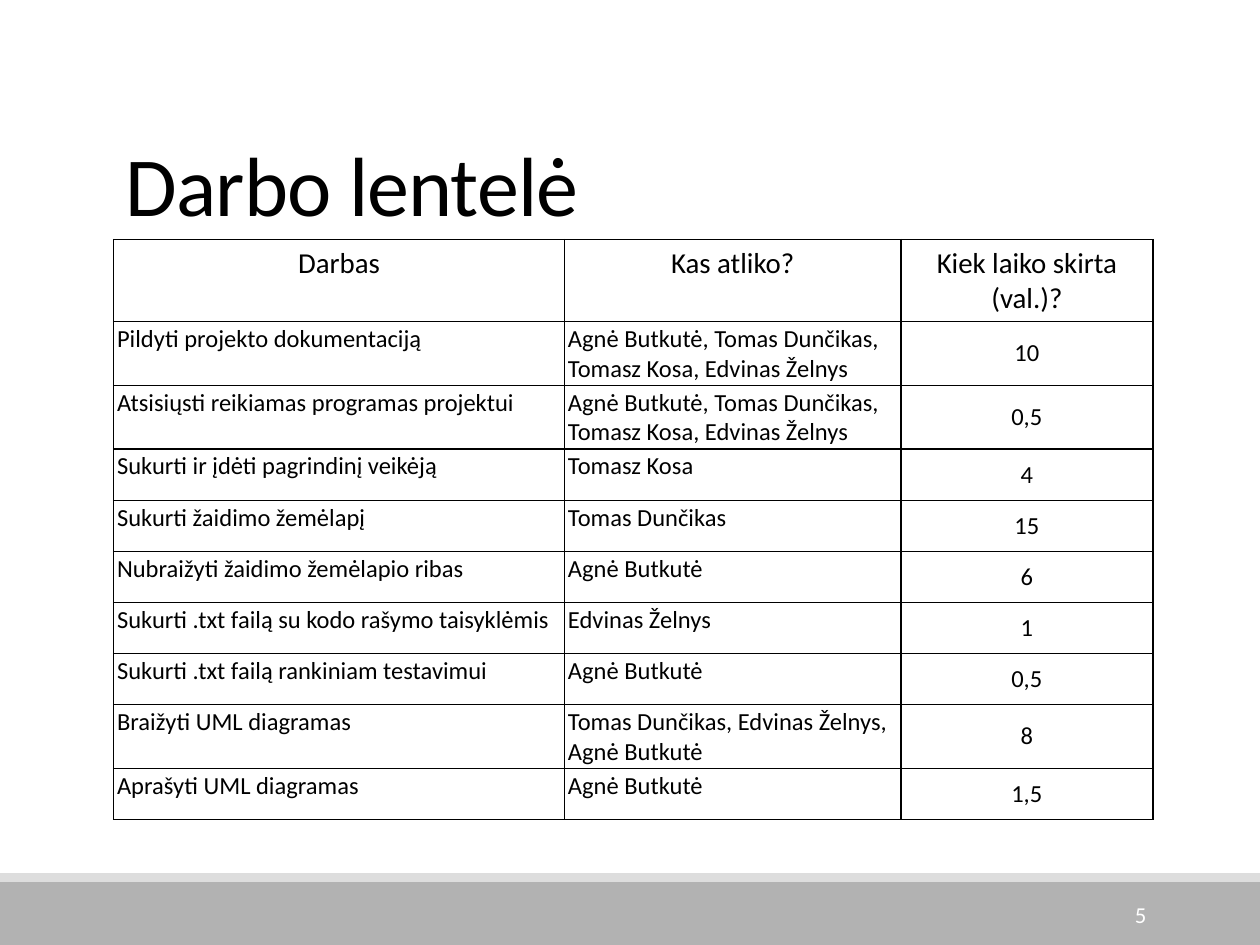
"""Build a slide with a table of project tasks, people and hours."""
from dataclasses import dataclass

from lxml import etree
from pptx import Presentation
from pptx import util as u
from pptx.dml.color import RGBColor
from pptx.enum import shapes, text
from pptx.oxml.ns import qn


@dataclass(frozen=True)
class Theme:
    font: str = "Calibri"
    ink: str = "000000"
    paper: str = "FFFFFF"
    band: str = "B2B2B2"
    strip: str = "DDDDDD"
    rule: str = "808080"
    title: float = 48
    head: float = 16.5
    body: float = 14
    page: float = 13


LEFT, MID, RIGHT = text.PP_ALIGN.LEFT, text.PP_ALIGN.CENTER, text.PP_ALIGN.RIGHT
TOP, CENTRE, BASE = text.MSO_ANCHOR.TOP, text.MSO_ANCHOR.MIDDLE, text.MSO_ANCHOR.BOTTOM

TEAM = "Agnė Butkutė, Tomas Dunčikas, Tomasz Kosa, Edvinas Želnys"
HEADS = ("Darbas", "Kas atliko?", "Kiek laiko skirta (val.)?")
TASKS = (
    ("Pildyti projekto dokumentaciją", TEAM, "10"),
    ("Atsisiųsti reikiamas programas projektui", TEAM, "0,5"),
    ("Sukurti ir įdėti pagrindinį veikėją", "Tomasz Kosa", "4"),
    ("Sukurti žaidimo žemėlapį", "Tomas Dunčikas", "15"),
    ("Nubraižyti žaidimo žemėlapio ribas", "Agnė Butkutė", "6"),
    ("Sukurti .txt failą su kodo rašymo taisyklėmis", "Edvinas Želnys", "1"),
    ("Sukurti .txt failą rankiniam testavimui", "Agnė Butkutė", "0,5"),
    ("Braižyti UML diagramas", "Tomas Dunčikas, Edvinas Želnys, Agnė Butkutė", "8"),
    ("Aprašyti UML diagramas", "Agnė Butkutė", "1,5"),
)


class Painter:
    def __init__(self, slide, theme):
        self.slide, self.theme = slide, theme

    def style(self, para, size, color, align):
        para.alignment = align
        for run in para.runs:
            run.font.name = self.theme.font
            run.font.size = u.Pt(size)
            run.font.color.rgb = RGBColor.from_string(color)

    def bar(self, box, color):
        bar = self.slide.shapes.add_shape(shapes.MSO_SHAPE.RECTANGLE, *map(u.Cm, box))
        bar.shadow.inherit = False
        bar.fill.solid()
        bar.fill.fore_color.rgb = RGBColor.from_string(color)
        bar.line.fill.background()

    def line(self, ends, color, width):
        line = self.slide.shapes.add_connector(
            shapes.MSO_CONNECTOR.STRAIGHT, *map(u.Cm, ends))
        line.line.color.rgb = RGBColor.from_string(color)
        line.line.width = u.Pt(width)
        etree.SubElement(line._element.spPr, qn("a:effectLst"))

    def label(self, words, box, size, color, align, anchor):
        frame = self.slide.shapes.add_textbox(*map(u.Cm, box)).text_frame
        frame.word_wrap = True
        frame.vertical_anchor = anchor
        frame.text = words
        para = frame.paragraphs[0]
        self.style(para, size, color, align)
        return para

    def title(self, words, box):
        para = self.label(words, box, self.theme.title, self.theme.ink, LEFT, BASE)
        para.line_spacing = 0.85
        para.runs[0].font._element.set("spc", "-50")

    def border(self, cell, width):
        props = cell._tc.get_or_add_tcPr()
        for spot, side in enumerate(("lnL", "lnR", "lnT", "lnB")):
            edge = etree.Element(qn(f"a:{side}"), w=str(u.Pt(width)))
            fill = etree.SubElement(edge, qn("a:solidFill"))
            etree.SubElement(fill, qn("a:srgbClr"), val=self.theme.ink)
            props.insert(spot, edge)

    def cell(self, cell, words, size, align, anchor):
        cell.text = words
        cell.vertical_anchor = anchor
        cell.fill.background()
        self.style(cell.text_frame.paragraphs[0], size, self.theme.ink, align)
        self.border(cell, 1)

    def table(self, heads, rows, box, widths, first, other):
        grid = self.slide.shapes.add_table(
            len(rows) + 1, len(heads), *map(u.Cm, box)).table
        for col, width in zip(grid.columns, widths):
            col.width = u.Cm(width)
        for num, row in enumerate(grid.rows):
            row.height = u.Cm(other if num else first)
        for col, words in enumerate(heads):
            self.cell(grid.cell(0, col), words, self.theme.head, MID, TOP)
        for num, row in enumerate(rows, 1):
            for col, words in enumerate(row):
                cell = grid.cell(num, col)
                last = col == len(row) - 1
                cell.margin_left = cell.margin_right = u.Cm(0.07)
                cell.margin_top = cell.margin_bottom = u.Cm(0.05)
                self.cell(cell, words, self.theme.body,
                          MID if last else LEFT, CENTRE if last else TOP)


def main():
    deck = Presentation()
    deck.slide_width, deck.slide_height = u.Cm(25.4), u.Cm(19.05)
    theme = Theme()
    art = Painter(deck.slides.add_slide(deck.slide_layouts[6]), theme)
    art.bar((0, 17.78, 25.4, 1.27), theme.band)
    art.bar((0, 17.6, 25.4, 0.18), theme.strip)
    art.line((2.49, 4.83, 23.24, 4.83), theme.rule, 0.5)
    art.title("Darbo lentelė", (2.29, 0.79, 20.95, 4.04))
    art.table(HEADS, TASKS, (2.29, 4.83, 20.95, 10.82), (9.09, 6.78, 5.08), 1.45, 1.03)
    art.label("5", (20.62, 17.93, 2.74, 1.02), theme.page, theme.paper, RIGHT, CENTRE)
    deck.save("out.pptx")


if __name__ == "__main__":
    main()
